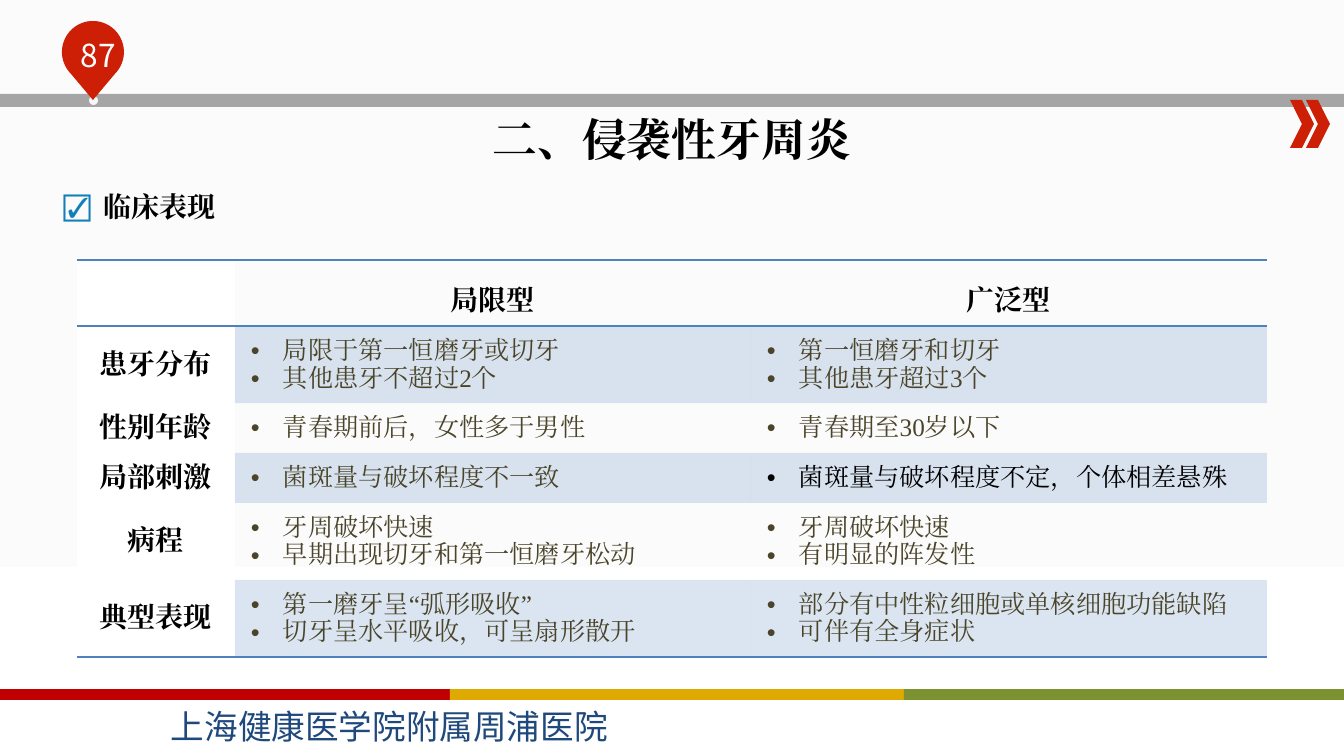
import math

import pptx
import pptx.dml.color
import pptx.enum.shapes
import pptx.enum.text
import pptx.oxml
import pptx.oxml.ns
import pptx.util

SERIF = "Times New Roman"
SANS = "Noto Sans CJK SC"
BLACK, WHITE, RED, BLUE, OLIVE = "000000", "FFFFFF", "CD1F06", "4F81BD", "4A452A"

TITLE = "二、侵袭性牙周炎"
SUBTITLE = "临床表现"
HOSPITAL = "上海健康医学院附属周浦医院"
PAGE = "87"
TYPES = ["", "局限型", "广泛型"]
FEATURES = [
    ("患牙分布", ["局限于第一恒磨牙或切牙", "其他患牙不超过2个"], ["第一恒磨牙和切牙", "其他患牙超过3个"]),
    ("性别年龄", ["青春期前后，女性多于男性"], ["青春期至30岁以下"]),
    ("局部刺激", ["菌斑量与破坏程度不一致"], ["菌斑量与破坏程度不定，个体相差悬殊"]),
    ("病程", ["牙周破坏快速", "早期出现切牙和第一恒磨牙松动"], ["牙周破坏快速", "有明显的阵发性"]),
    ("典型表现", ["第一磨牙呈“弧形吸收”", "切牙呈水平吸收，可呈扇形散开"],
     ["部分有中性粒细胞或单核细胞功能缺陷", "可伴有全身症状"]),
]
EMPHASIS = "菌斑量与破坏程度不定，个体相差悬殊"
BACKDROP = [(0, "FBFBFB"), (75, "FBFBFB"), (75, WHITE), (100, WHITE)]
STRIPES = ["C00000", "DEA900", "7C912F"]
COLUMNS = [158, 516, 516]
HEADER_HEIGHT, ONE_LINE, TWO_LINES = 66, 50, 77
SCALE = 12192000 / 1344


def px(length):
    return pptx.util.Emu(round(length * SCALE))


def rgb(code):
    return pptx.dml.color.RGBColor.from_string(code)


def element(tag, content="", **attributes):
    listed = "".join(f' {key}="{value}"' for key, value in attributes.items())
    return pptx.oxml.parse_xml(f"<a:{tag} {pptx.oxml.ns.nsdecls('a')}{listed}>{content}</a:{tag}>")


def place(part, left, top, width, height):
    part.left, part.top, part.width, part.height = map(px, (left, top, width, height))


def paint(part, color):
    part.shadow.inherit = False
    part.fill.solid()
    part.fill.fore_color.rgb = rgb(color)
    part.line.fill.background()


def write(paragraph, text, size, color, font=SERIF, bold=False, centred=False, spacing=None):
    if centred:
        paragraph.alignment = pptx.enum.text.PP_ALIGN.CENTER
    if spacing:
        paragraph.line_spacing = spacing
    run = paragraph.add_run()
    run.text = text
    run.font.size, run.font.name, run.font.bold = pptx.util.Pt(size), font, bold
    run.font.color.rgb = rgb(color)
    run.font._element.find(pptx.oxml.ns.qn("a:latin")).addnext(element("ea", typeface=font))


def bullet(paragraph, mark, indent, color=None, font=None):
    properties = paragraph._p.get_or_add_pPr()
    properties.set("marL", str(px(indent)))
    properties.set("indent", str(-px(indent)))
    if color:
        properties.append(element("buClr", f'<a:srgbClr val="{color}"/>'))
    if font:
        properties.append(element("buFont", typeface=font))
    properties.append(element("buChar", char=mark))


def border(cell, side):
    color = f'<a:solidFill><a:srgbClr val="{BLUE}"/></a:solidFill>'
    cell._tc.get_or_add_tcPr().insert(0, element(side, color, w=12700))


def shade(cell, color, opacity=None):
    cell.fill.solid()
    cell.fill.fore_color.rgb = rgb(color)
    if opacity:
        tint = cell._tc.tcPr.find(".//" + pptx.oxml.ns.qn("a:srgbClr"))
        tint.append(element("alpha", val=opacity * 1000))


def frame(part, wrap=False):
    text = part.text_frame
    text.word_wrap = wrap
    text.auto_size = pptx.enum.text.MSO_AUTO_SIZE.NONE
    return text


def backdrop(slide):
    fill = slide.background.fill
    fill.gradient()
    fill.gradient_angle = 270
    stops = slide._element.find(".//" + pptx.oxml.ns.qn("a:gsLst"))
    for stop in list(stops):
        stops.remove(stop)
    for position, color in BACKDROP:
        stops.append(element("gs", f'<a:srgbClr val="{color}"/>', pos=position * 1000))


def decorate(slide):
    kinds = pptx.enum.shapes.MSO_SHAPE
    bars = [(kinds.RECTANGLE, 0, 94, 1344, 13, "A5A5A5"),
            (kinds.CHEVRON, 1290, 100, 24, 48, RED),
            (kinds.CHEVRON, 1306, 100, 24, 48, RED),
            (kinds.OVAL, 89, 96, 9, 9, "F6F6F6")]
    bars += [(kinds.RECTANGLE, 454 * i - 4, 689, 454, 11, color) for i, color in enumerate(STRIPES)]
    for kind, left, top, width, height, color in bars:
        bar = slide.shapes.add_shape(kind, px(left), px(top), px(width), px(height))
        paint(bar, color)
    rim = [(93 + 31 * math.cos(math.radians(a)), 52 + 31 * math.sin(math.radians(a)))
           for a in range(135, 406, 5)]
    pin = slide.shapes.build_freeform(px(93), px(100))
    pin.add_line_segments([(px(x), px(y)) for x, y in rim], close=True)
    paint(pin.convert_to_shape(), RED)
    number = frame(slide.shapes.add_textbox(px(45), px(31), px(88), px(42)), True)
    number.margin_left = px(28)
    write(number.paragraphs[0], PAGE, 22.6, WHITE, SANS, centred=True)
    hospital = frame(slide.shapes.add_textbox(px(161), px(701), px(457), px(50)))
    write(hospital.paragraphs[0], HOSPITAL, 24, "1F497D", SANS)


def headings(slide):
    title, subtitle = slide.placeholders
    place(title, 481, 106, 382, 65)
    write(frame(title).paragraphs[0], TITLE, 32, BLACK, bold=True, centred=True)
    place(subtitle, 53, 168, 173, 55)
    line = frame(subtitle).paragraphs[0]
    bullet(line, "☑", 40, "127FB8")
    line.space_before = pptx.util.Pt(0)
    write(line, SUBTITLE, 20, BLACK, bold=True, spacing=1.5)


def comparison(slide):
    heights = [HEADER_HEIGHT] + [TWO_LINES if len(local) > 1 else ONE_LINE for _, local, _ in FEATURES]
    holder = slide.shapes.add_table(len(heights), len(COLUMNS), px(77), px(260),
                                    px(sum(COLUMNS)), px(sum(heights)))
    table = holder.table
    table.first_row = table.horz_banding = False
    table._tbl.tblPr.find(pptx.oxml.ns.qn("a:tableStyleId")).text = "{2D5ABB26-0587-4C30-8999-92F81FD0307C}"
    for column, width in zip(table.columns, COLUMNS):
        column.width = px(width)
    for r, (height, entries) in enumerate(zip(heights, [TYPES] + FEATURES)):
        table.rows[r].height = px(height)
        for c, entry in enumerate(entries):
            cell = table.cell(r, c)
            cell.vertical_anchor = pptx.enum.text.MSO_ANCHOR.MIDDLE
            cell.margin_left = cell.margin_right = px(16)
            cell.margin_top = cell.margin_bottom = px(8)
            if c == 0:
                shade(cell, WHITE)
            elif r % 2:
                shade(cell, BLUE, 20)
            else:
                cell.fill.background()
            if r in (0, len(heights) - 1):
                border(cell, "lnB")
            if r == 0:
                border(cell, "lnT")
            if isinstance(entry, str):
                if entry:
                    write(cell.text_frame.paragraphs[0], entry, 20, BLACK, bold=True,
                          centred=True, spacing=None if r else 1.5)
                continue
            for i, point in enumerate(entry):
                line = cell.text_frame.add_paragraph() if i else cell.text_frame.paragraphs[0]
                bullet(line, "•", 32, font="Arial")
                write(line, point, 18, BLACK if point == EMPHASIS else OLIVE)


def main():
    deck = pptx.Presentation()
    deck.slide_width, deck.slide_height = px(1344), px(756)
    slide = deck.slides.add_slide(deck.slide_layouts[1])
    backdrop(slide)
    decorate(slide)
    headings(slide)
    comparison(slide)
    deck.save("out.pptx")


if __name__ == "__main__":
    main()
